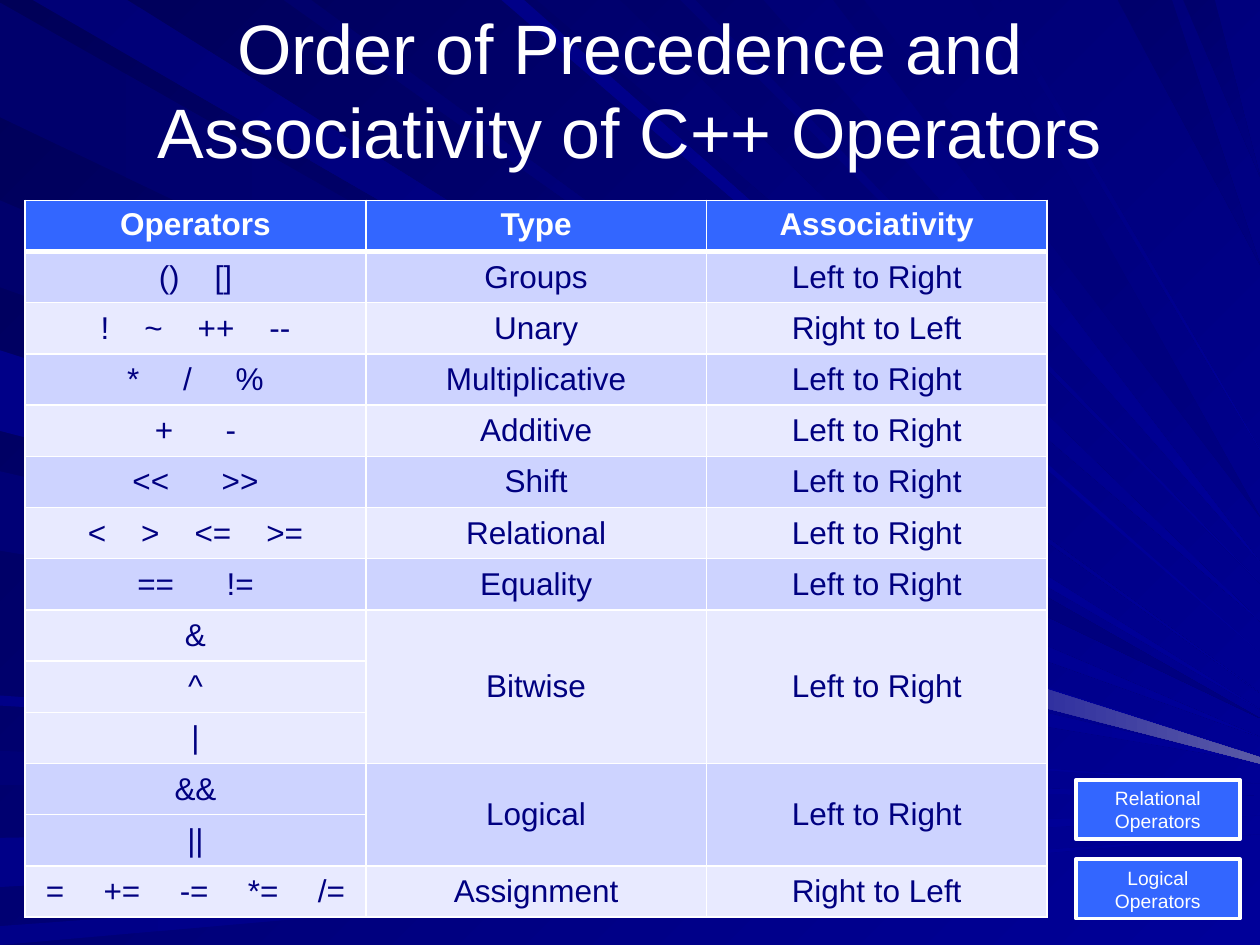
from lxml import etree
from pptx import Presentation
from pptx.dml.color import RGBColor
from pptx.enum.shapes import MSO_SHAPE
from pptx.enum.text import MSO_ANCHOR, MSO_AUTO_SIZE, PP_ALIGN
from pptx.oxml.ns import qn
from pptx.util import Inches, Pt

WHITE = RGBColor.from_string("FFFFFF")
ACCENT = RGBColor.from_string("3366FF")
BAND_DARK = RGBColor.from_string("CDD3FF")
BAND_LIGHT = RGBColor.from_string("E8EAFF")
DEEP = RGBColor.from_string("000058")
DUSK = RGBColor.from_string("00006C")
SHADE = RGBColor.from_string("000076")
NAVY = RGBColor.from_string("000080")
DAWN = RGBColor.from_string("000088")
ROYAL = RGBColor.from_string("000099")
GLOW = RGBColor.from_string("5A5AA6")

# Each ray narrows from a stretch of one edge to a tip on the right edge:
# start and end of the stretch, height of the tip, first and last colour
LEFT_RAYS = [
    (0.02, 0.93, 5.7, DUSK, NAVY),
    (5.96, 6.23, 6.32, SHADE, ROYAL),
    (6.65, 7.04, 6.47, DAWN, ROYAL),
    (7.35, 7.5, 6.62, DAWN, ROYAL),
    (1.59, 2.28, 5.85, DUSK, ROYAL),
    (2.78, 3.42, 6, DAWN, ROYAL),
    (3.74, 4.37, 6.05, SHADE, ROYAL),
    (5.52, 5.6, 6.22, DAWN, ROYAL),
]
TOP_RAYS = [
    (0.26, 1.01, 5.63, SHADE, ROYAL),
    (2.25, 2.47, 5.5, DUSK, ROYAL),
    (3.98, 4.16, 5.18, DAWN, ROYAL),
    (4.26, 4.92, 4.93, DUSK, ROYAL),
    (5.4, 5.52, 4.63, SHADE, ROYAL),
    (6.06, 6.61, 4.46, SHADE, ROYAL),
    (6.86, 7.7, 4.1, SHADE, NAVY),
    (7.85, 7.92, 3.57, SHADE, ROYAL),
    (8.87, 9.3, 2.1, DUSK, NAVY),
    (9.39, 9.64, 1.4, DUSK, NAVY),
]
GLOW_CORNERS = [(6.37, 4.85), (10, 6.01), (10, 6.06), (6.33, 5.11)]

HEADINGS = ["Operators", "Type", "Associativity"]
# Operator lines, points added between operators, type, associativity
PRECEDENCE = [
    (["() []"], 15, "Groups", "Left to Right"),
    (["! ~ ++ --"], 15, "Unary", "Right to Left"),
    (["* / %"], 20, "Multiplicative", "Left to Right"),
    (["+ -"], 25, "Additive", "Left to Right"),
    (["<< >>"], 25, "Shift", "Left to Right"),
    (["< > <= >="], 15, "Relational", "Left to Right"),
    (["== !="], 25, "Equality", "Left to Right"),
    (["&", "^", "|"], 0, "Bitwise", "Left to Right"),
    (["&&", "||"], 0, "Logical", "Left to Right"),
    (["= += -= *= /="], 17.5, "Assignment", "Right to Left"),
]


def write(frame, text, *, size, color, bold=False, gap=0):
    """Fill a frame with one centred paragraph; gap widens each space by that many points."""
    frame.word_wrap = True
    frame.vertical_anchor = MSO_ANCHOR.MIDDLE
    paragraph = frame.paragraphs[0]
    paragraph.alignment = PP_ALIGN.CENTER
    pieces = text.replace(" ", "\n \n").split("\n") if gap else [text]
    for piece in pieces:
        run = paragraph.add_run()
        run.text = piece
        run.font.name = "Arial"
        run.font.size = Pt(size)
        run.font.bold = bold
        run.font.color.rgb = color
        if piece == " ":
            run.font._element.set("spc", str(int(gap * 100)))


def paint(fill, start, end=None, angle=0):
    """Fill plainly, or with a gradient at a clockwise angle when an end colour is given."""
    if end is None:
        fill.solid()
        fill.fore_color.rgb = start
        return
    fill.gradient()
    fill.gradient_angle = 360 - angle
    for stop, color in zip(fill.gradient_stops, (start, end)):
        stop.color.rgb = color


def add_ray(shapes, corners, start, end, angle):
    first, *others = [(Inches(x), Inches(y)) for x, y in corners]
    builder = shapes.build_freeform(*first)
    builder.add_line_segments(others, close=True)
    ray = builder.convert_to_shape()
    ray.shadow.inherit = False
    ray.line.fill.background()
    paint(ray.fill, start, end, angle)


def add_backdrop(slide):
    paint(slide.background.fill, DEEP, ROYAL, 45)
    rays = slide.shapes.add_group_shape().shapes
    for begin, finish, tip, start, end in LEFT_RAYS:
        add_ray(rays, [(0, begin), (10, tip), (0, finish)], start, end, 0)
    for begin, finish, tip, start, end in TOP_RAYS:
        add_ray(rays, [(begin, 0), (10, tip), (finish, 0)], start, end, 45)
    add_ray(rays, GLOW_CORNERS, ROYAL, GLOW, 0)


def add_title(slide, text):
    title = slide.shapes.title
    title.left, title.top = Inches(0.5), Inches(0.08)
    title.width, title.height = Inches(9), Inches(1.25)
    write(title.text_frame, text, size=40, color=WHITE)
    title.text_frame.auto_size = MSO_AUTO_SIZE.NONE
    slide.shapes._spTree.append(title._element)  # in front of the rays


def style_cell(cell, fill, top=1, bottom=1):
    """Draw white borders of the given point widths, then fill the cell."""
    properties = cell._tc.get_or_add_tcPr()
    for side, width in (("L", 1), ("R", 1), ("T", top), ("B", bottom)):
        border = etree.SubElement(properties, qn(f"a:ln{side}"), w=str(int(Pt(width))))
        solid = etree.SubElement(border, qn("a:solidFill"))
        etree.SubElement(solid, qn("a:srgbClr"), val=str(WHITE))
    paint(cell.fill, fill)


def add_precedence_table(slide):
    row_count = 1 + sum(len(operators) for operators, *_ in PRECEDENCE)
    table = slide.shapes.add_table(row_count, len(HEADINGS), Inches(0.2), Inches(1.59),
                                   Inches(8.11), Inches(5.69)).table
    table.horz_banding = False
    for column, heading in enumerate(HEADINGS):
        cell = table.cell(0, column)
        style_cell(cell, ACCENT, bottom=3)
        write(cell.text_frame, heading, size=18, color=WHITE, bold=True)
        cell.vertical_anchor = MSO_ANCHOR.TOP

    row = 1
    for index, (operators, gap, kind, associativity) in enumerate(PRECEDENCE):
        band = BAND_LIGHT if index % 2 else BAND_DARK
        if kind in ("Bitwise", "Logical", "Assignment"):
            band = BAND_DARK if kind == "Logical" else BAND_LIGHT
        last = row + len(operators) - 1
        for line in range(row, last + 1):
            for column in range(len(HEADINGS)):
                style_cell(table.cell(line, column), band, top=3 if line == 1 else 1)
        entries = [(row + i, 0, text, gap) for i, text in enumerate(operators)]
        entries += [(row, 1, kind, 0), (row, 2, associativity, 0)]
        for line, column, text, spread in entries:
            cell = table.cell(line, column)
            if column and last > row:
                cell.merge(table.cell(last, column))
            write(cell.text_frame, text, size=18, color=NAVY, gap=spread)
            cell.vertical_anchor = MSO_ANCHOR.MIDDLE
        row = last + 1


def add_button(slide, text, top):
    button = slide.shapes.add_shape(MSO_SHAPE.ACTION_BUTTON_CUSTOM, Inches(8.54), Inches(top),
                                    Inches(1.3), Inches(0.47))
    button.shadow.inherit = False
    paint(button.fill, ACCENT)
    button.line.color.rgb = WHITE
    button.line.width = Pt(2.25)
    write(button.text_frame, text, size=11, color=WHITE)


def main():
    deck = Presentation()
    deck.slide_width, deck.slide_height = Inches(10), Inches(7.5)
    slide = deck.slides.add_slide(deck.slide_layouts[5])
    add_backdrop(slide)
    add_title(slide, "Order of Precedence and Associativity of C++ Operators")
    add_precedence_table(slide)
    add_button(slide, "Relational Operators", 6.19)
    add_button(slide, "Logical Operators", 6.82)
    deck.save("out.pptx")


if __name__ == "__main__":
    main()
